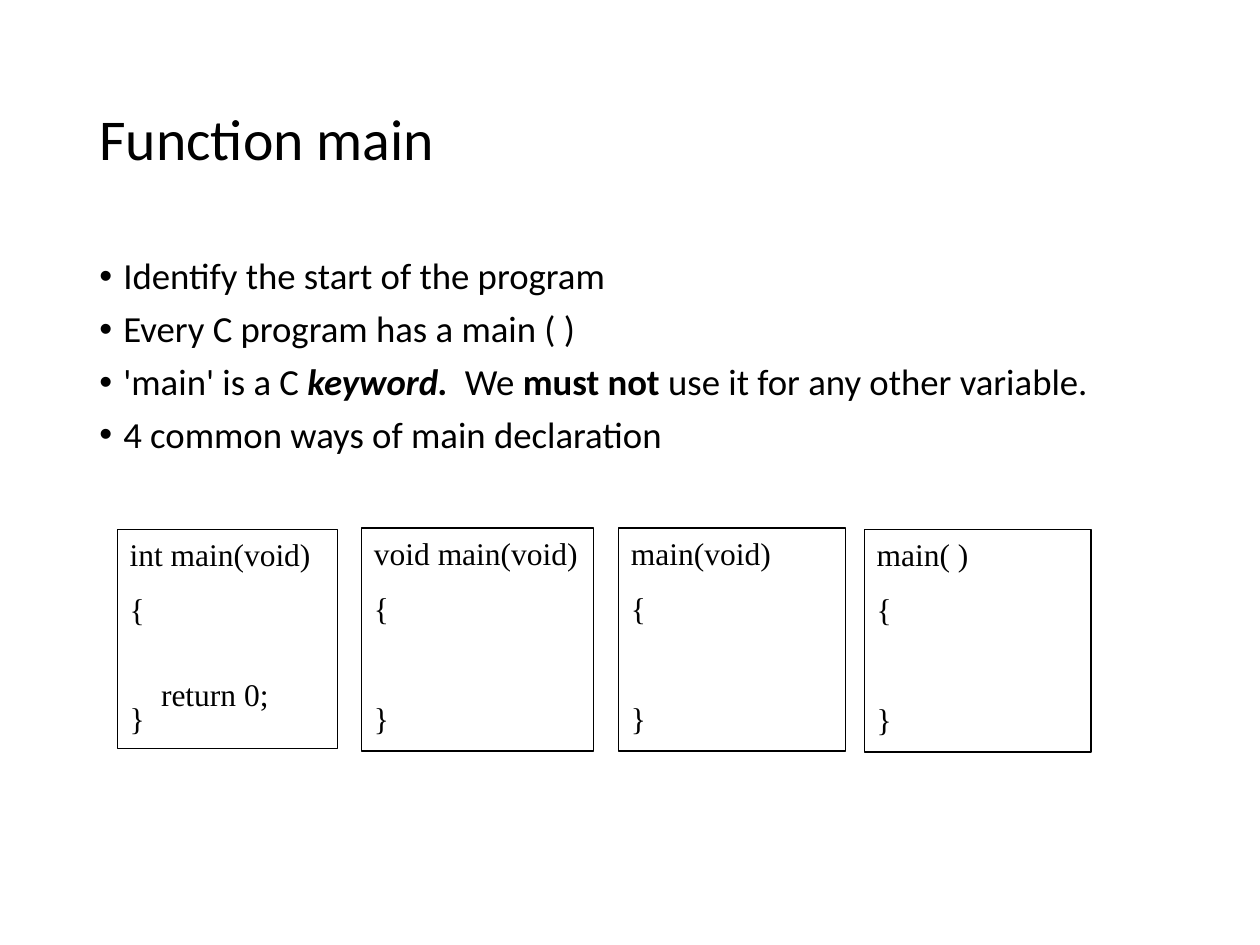
from lxml import etree
from pptx import Presentation
from pptx.dml.color import RGBColor
from pptx.enum.shapes import MSO_SHAPE
from pptx.enum.text import MSO_ANCHOR, PP_ALIGN
from pptx.oxml.ns import qn
from pptx.util import Inches, Pt

RECTANGLE = MSO_SHAPE.RECTANGLE
TOP, MIDDLE = MSO_ANCHOR.TOP, MSO_ANCHOR.MIDDLE
LEFT = PP_ALIGN.LEFT
COLORS = {"ink": "000000"}
INK = RGBColor.from_string(COLORS["ink"])


def add_line(frame, index, runs, font, spacing):
    line = frame.paragraphs[0] if index == 0 else frame.add_paragraph()
    for name, value in spacing.items():
        setattr(line, name, value)
    for words, style in runs:
        run = line.add_run()
        run.text = words
        for name, value in {**font, **style}.items():
            setattr(run.font, name, value)
        run.font.color.rgb = INK
    return line


presentation = Presentation()
presentation.slide_width = Inches(10)
presentation.slide_height = Inches(7.5)
slide = presentation.slides.add_slide(presentation.slide_layouts[6])

heading = slide.shapes.add_textbox(Inches(0.69), Inches(0.4), Inches(8.62), Inches(1.45)).text_frame
heading.word_wrap = True
heading.vertical_anchor = MIDDLE
add_line(heading, 0, [("Function main", {})],
         {"name": "Calibri", "size": Pt(33)}, {"line_spacing": 0.9})

facts = [
    [("Identify the start of the program", {})],
    [("Every C program has a main ( )", {})],
    [("'main' is a C ", {}), ("keyword.  ", {"bold": True, "italic": True}), ("We ", {}),
     ("must not ", {"bold": True}), ("use it for any other variable.", {})],
    [("4 common ways of main declaration", {})],
]
fact_list = slide.shapes.add_textbox(Inches(0.69), Inches(2), Inches(8.62), Inches(4.76)).text_frame
fact_list.word_wrap = True
for index, fact in enumerate(facts):
    line = add_line(fact_list, index, fact, {"name": "Calibri", "size": Pt(21)},
                    {"line_spacing": 0.9, "space_before": Pt(7.5)})
    properties = line._p.get_or_add_pPr()
    properties.set("marL", str(Inches(0.19)))
    properties.set("indent", str(-Inches(0.19)))
    etree.SubElement(properties, qn("a:buFont"), typeface="Arial")
    etree.SubElement(properties, qn("a:buChar"), char="•")

plain_body = [("{", 9.9, 1, 0), ("}", 41, 1, 0)]
return_body = [("{", 9.9, 1, 0), ("return 0;", 41, 0.2, 0.25), ("}", 9.9, 0.2, 0)]
declarations = [
    ("int main(void)", 0.93, 4.2, 1.75, 1.74, return_body),
    ("void main(void)", 2.87, 4.19, 1.84, 1.77, plain_body),
    ("main(void)", 4.91, 4.19, 1.8, 1.77, plain_body),
    ("main( )", 6.86, 4.2, 1.8, 1.77, plain_body),
]
for signature, left, top, width, height, body in declarations:
    box = slide.shapes.add_shape(RECTANGLE, Inches(left), Inches(top), Inches(width), Inches(height))
    box.shadow.inherit = False
    box.fill.background()
    box.line.color.rgb = INK
    box.line.width = Pt(0.75)
    code = box.text_frame
    code.word_wrap = True
    code.vertical_anchor = TOP
    for index, (words, gap, leading, indent) in enumerate([(signature, 0, 1, 0)] + body):
        line = add_line(code, index, [(words, {})], {"name": "Times New Roman", "size": Pt(18)},
                        {"alignment": LEFT, "line_spacing": leading, "space_before": Pt(gap)})
        line._p.get_or_add_pPr().set("marL", str(Inches(indent)))

presentation.save("out.pptx")
